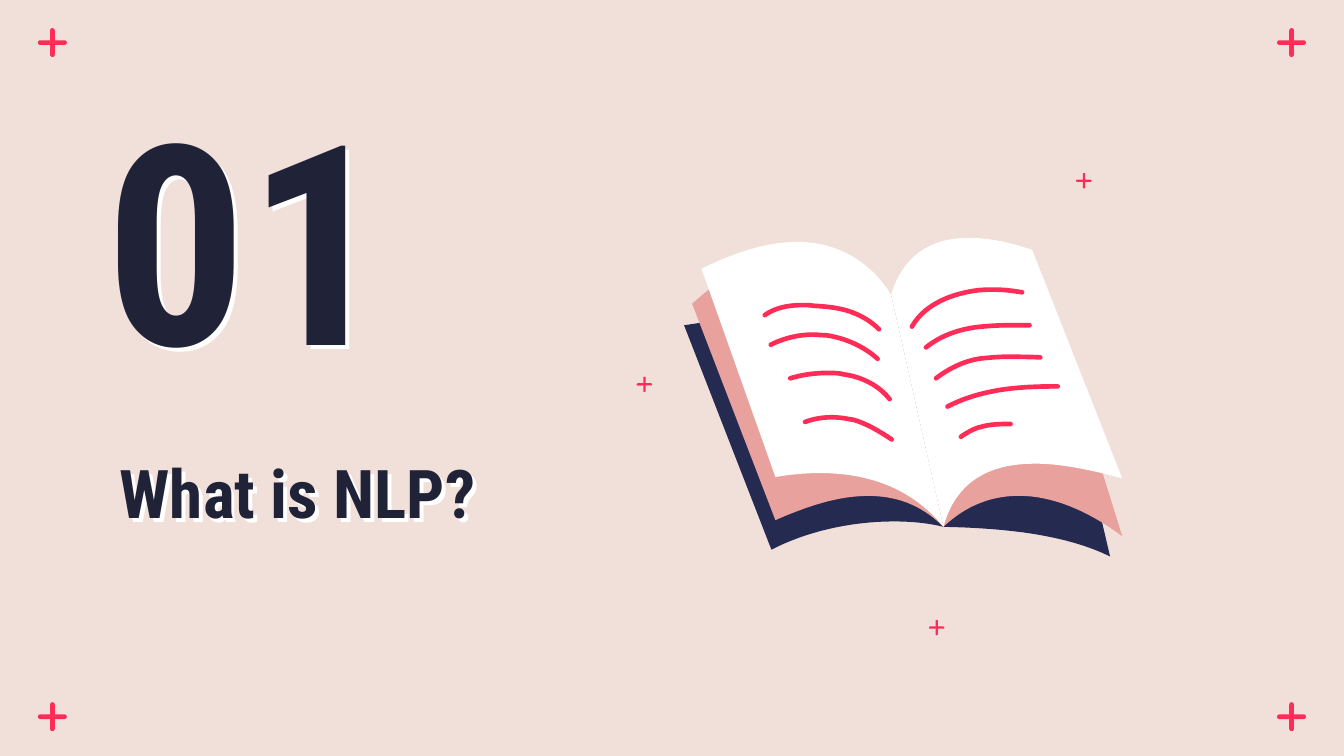
"""Build a section slide: number, title and an open book among plus signs."""
from lxml import etree
from pptx import Presentation
from pptx.dml.color import RGBColor
from pptx.enum.shapes import MSO_SHAPE
from pptx.enum.text import MSO_ANCHOR, MSO_AUTO_SIZE, PP_ALIGN
from pptx.oxml.ns import qn
from pptx.util import Inches, Pt

BAR = MSO_SHAPE.ROUNDED_RECTANGLE
MIDDLE, BOTTOM = MSO_ANCHOR.MIDDLE, MSO_ANCHOR.BOTTOM
LEFT, NO_FIT = PP_ALIGN.LEFT, MSO_AUTO_SIZE.NONE
COLORS = {"sand": "F1E0DA", "red": "FF2C58", "ink": "202237",
          "navy": "252A51", "rose": "E8A19D", "white": "FFFFFF"}
RGB = {name: RGBColor.from_string(value) for name, value in COLORS.items()}
COLS, ROWS, STEPS = 100, 56.25, 16

prs = Presentation()
prs.slide_width, prs.slide_height = Inches(10), Inches(5.625)
U = prs.slide_width / COLS
s = prs.slides.add_slide(prs.slide_layouts[5])
s.background.fill.solid()
s.background.fill.fore_color.rgb = RGB["sand"]


def trace(shapes, start, segments, close):
    """Draw line (2 numbers) and cubic (6 numbers) segments in grid units."""
    pts = [start]
    for seg in segments:
        if len(seg) == 2:
            pts.append(seg)
            continue
        ctrl = [pts[-1], seg[:2], seg[2:4], seg[4:]]
        for i in range(1, STEPS + 1):
            t = i / STEPS
            weights = ((1 - t) ** 3, 3 * t * (1 - t) ** 2, 3 * t * t * (1 - t), t ** 3)
            pts.append(tuple(sum(w * c[k] for w, c in zip(weights, ctrl)) for k in (0, 1)))
    fb = shapes.build_freeform(start[0] * U, start[1] * U)
    fb.add_line_segments([(x * U, y * U) for x, y in pts[1:]], close=close)
    sp = fb.convert_to_shape()
    sp.shadow.inherit = False
    return sp


def plus(x, y, size, thick):
    """Draw a plus sign centred at a grid point."""
    g = s.shapes.add_group_shape()
    for w, h in ((size, thick), (thick, size)):
        sp = g.shapes.add_shape(BAR, *(int(v * U) for v in (x - w / 2, y - h / 2, w, h)))
        sp.adjustments[0] = 0.5
        sp.shadow.inherit = False
        sp.fill.solid()
        sp.fill.fore_color.rgb = RGB["red"]
        sp.line.fill.background()


MARGIN_X, MARGIN_Y = 3.9, 3.17
for y in (MARGIN_Y, ROWS - MARGIN_Y + 0.25):
    for x in (MARGIN_X, COLS - MARGIN_X):
        plus(x, y, 2.15, 0.35)

texts = [
    (s.shapes.title, "What is NLP?", 36, MIDDLE, (7.9, 30, 29.3, 13.2)),
    (s.shapes.add_textbox(0, 0, 0, 0), "01", 150, BOTTOM, (6.9, 5.9, 29.3, 25)),
]
for sp, text, size, anchor, box in texts:
    for name, value in zip(("left", "top", "width", "height"), box):
        setattr(sp, name, int(value * U))
    tf = sp.text_frame
    frame = {"word_wrap": True, "auto_size": NO_FIT, "vertical_anchor": anchor}
    frame.update({f"margin_{side}": Inches(0.1) for side in ("left", "right", "top", "bottom")})
    for name, value in frame.items():
        setattr(tf, name, value)
    p = tf.paragraphs[0]
    p.alignment = LEFT
    r = p.add_run()
    r.text = text
    for name, value in {"name": "Roboto Condensed", "size": Pt(size), "bold": True}.items():
        setattr(r.font, name, value)
    r.font.color.rgb = RGB["ink"]
    sp.fill.background()
    effects = etree.SubElement(sp._element.spPr, qn("a:effectLst"))
    shadow = etree.SubElement(effects, qn("a:outerShdw"), dist=str(Pt(3)), dir="2700000",
                              algn="bl", rotWithShape="0")
    etree.SubElement(shadow, qn("a:srgbClr"), val=COLORS["white"])

SPINE_TOP, SPINE_END = (66.3, 21.9), (70.2, 39.2)
pages = [
    ("navy", [(50.9, 24.2), (57.4, 40.9), (59.9, 39.6, 63.2, 38.8, 66.5, 38.8),
              (67.7, 38.8, 69, 38.9, *SPINE_END), (75, 39.3, 79.3, 39.8, 82.6, 41.4),
              (78.4, 23.5)]),
    ("rose", [(64.9, 20, 62.7, 18.7, 60, 18.7), (57.5, 18.7, 54.6, 19.8, 51.5, 22.6),
              (57.7, 38.7), (60, 37.7, 62.3, 36.9, 64.6, 36.9),
              (66.6, 36.9, 68.5, 37.5, *SPINE_END)]),
    ("rose", [SPINE_END, (71.9, 37.6, 73.8, 36.9, 75.8, 36.9),
              (78.2, 36.9, 80.8, 37.9, 83.5, 39.9), (77.4, 20.3),
              (75.4, 19.2, 73.6, 18.6, 71.9, 18.6), (69.7, 18.6, 67.8, 19.6, *SPINE_TOP)]),
    ("white", [(64.6, 19.3, 62.2, 18, 59.3, 18), (57.2, 18, 54.8, 18.7, 52.2, 20),
               (57.7, 35.5), (58.8, 35.3, 60, 35.2, 61, 35.2),
               (64.9, 35.2, 68, 36.5, *SPINE_END)]),
    ("white", [SPINE_END, (71.1, 35.9, 73.5, 34.5, 77, 34.5),
               (78.8, 34.5, 81, 34.9, 83.5, 35.6), (76.8, 18.6),
               (75.1, 18, 73.5, 17.7, 72.1, 17.7), (69.1, 17.7, 67.2, 19.1, *SPINE_TOP)]),
]
book = s.shapes.add_group_shape()
for color, segments in pages:
    sp = trace(book.shapes, SPINE_TOP, segments, True)
    sp.fill.solid()
    sp.fill.fore_color.rgb = RGB[color]
    sp.line.fill.background()

text_lines = [
    [(67.85, 24.3), (68.9, 22.45, 71.15, 21.85, 72.4, 21.65),
     (72.95, 21.55, 73.5, 21.55, 74, 21.55), (74.75, 21.55, 75.4, 21.65, 76.05, 21.75)],
    [(68.9, 25.85), (69.9, 25.05, 71.15, 24.55, 72.6, 24.35),
     (73.45, 24.25, 74.3, 24.2, 75.2, 24.2), (75.65, 24.2, 76.1, 24.2, 76.6, 24.2)],
    [(69.65, 28.15), (70.7, 27.35, 71.95, 26.75, 73.25, 26.65),
     (73.8, 26.6, 74.35, 26.55, 74.8, 26.55), (75.7, 26.55, 76.6, 26.55, 77.4, 26.6)],
    [(70.5, 30.25), (71.65, 29.65, 72.95, 29.25, 74.5, 29),
     (75.85, 28.8, 77.15, 28.75, 78.7, 28.75)],
    [(71.5, 32.5), (72, 32.15, 72.55, 31.85, 73.05, 31.75),
     (73.75, 31.55, 74.5, 31.55, 75.2, 31.55)],
    [(56.9, 23.45), (57.75, 22.85, 58.75, 22.7, 59.8, 22.7),
     (60, 22.7, 60.2, 22.7, 60.5, 22.75), (61.25, 22.8, 62.2, 22.85, 63.15, 23.15),
     (64.05, 23.45, 64.8, 23.9, 65.4, 24.5)],
    [(57.35, 25.65), (58.35, 25.15, 59.4, 24.9, 60.5, 24.9),
     (60.85, 24.9, 61.2, 24.95, 61.5, 24.95), (62.85, 25.15, 64.25, 25.75, 65.3, 26.7)],
    [(58.8, 28.15), (59.8, 27.85, 60.75, 27.75, 61.6, 27.75),
     (62, 27.75, 62.4, 27.75, 62.75, 27.85), (64.2, 28.05, 65.4, 28.7, 66.2, 29.7)],
    [(59.9, 31.4), (60.55, 31.15, 61.25, 31.05, 61.9, 31.05),
     (62.5, 31.05, 63, 31.15, 63.55, 31.25), (64.55, 31.55, 65.45, 32.1, 66.35, 32.7)],
]
for start, *segments in text_lines:
    sp = trace(book.shapes, start, segments, False)
    sp.fill.background()
    sp.line.color.rgb = RGB["red"]
    sp.line.width = Pt(2.5)
    sp.line._get_or_add_ln().set("cap", "rnd")

for x, y in ((47.95, 28.6), (80.65, 13.45), (69.7, 46.7)):
    plus(x, y, 1.15, 0.17)

prs.save("out.pptx")
